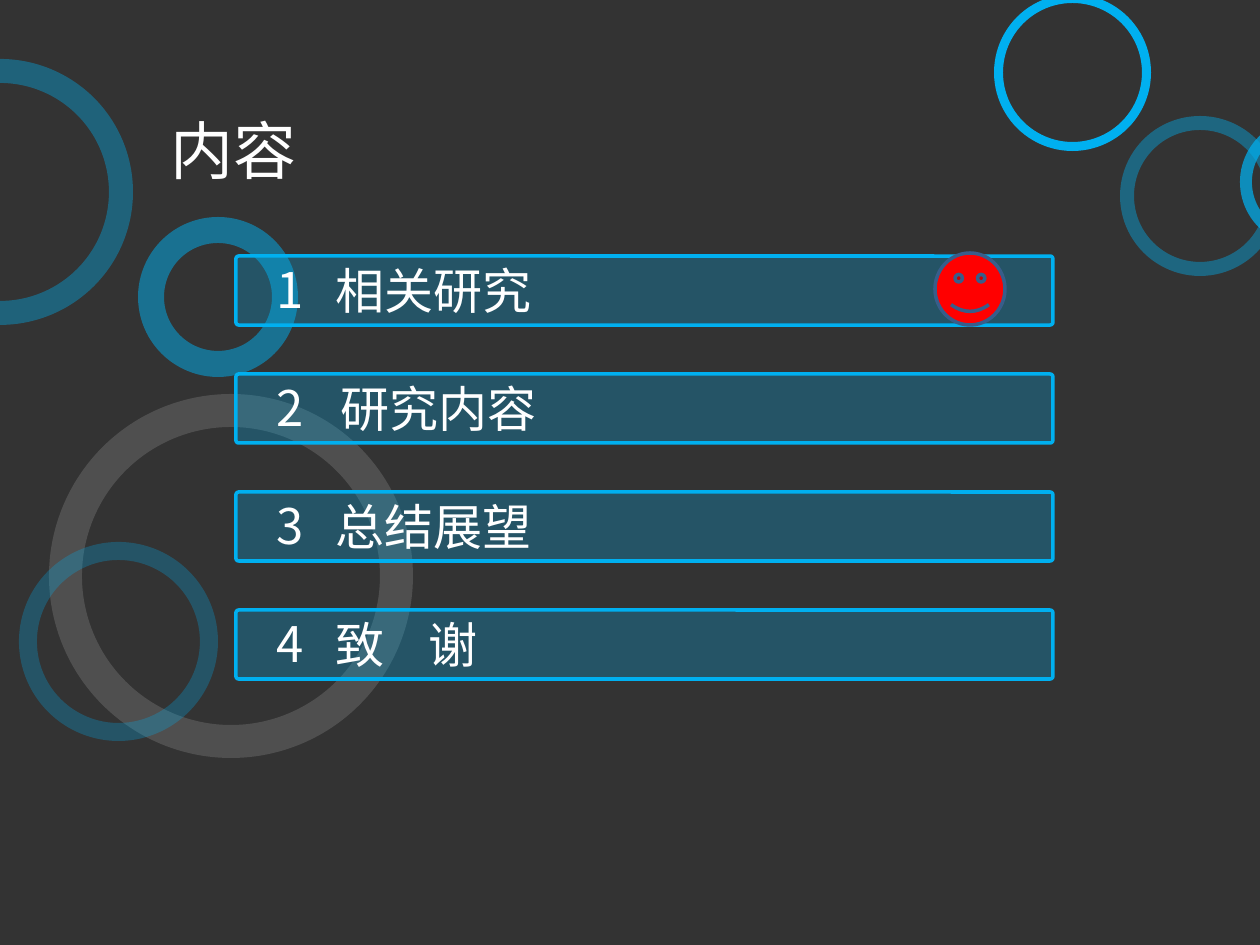
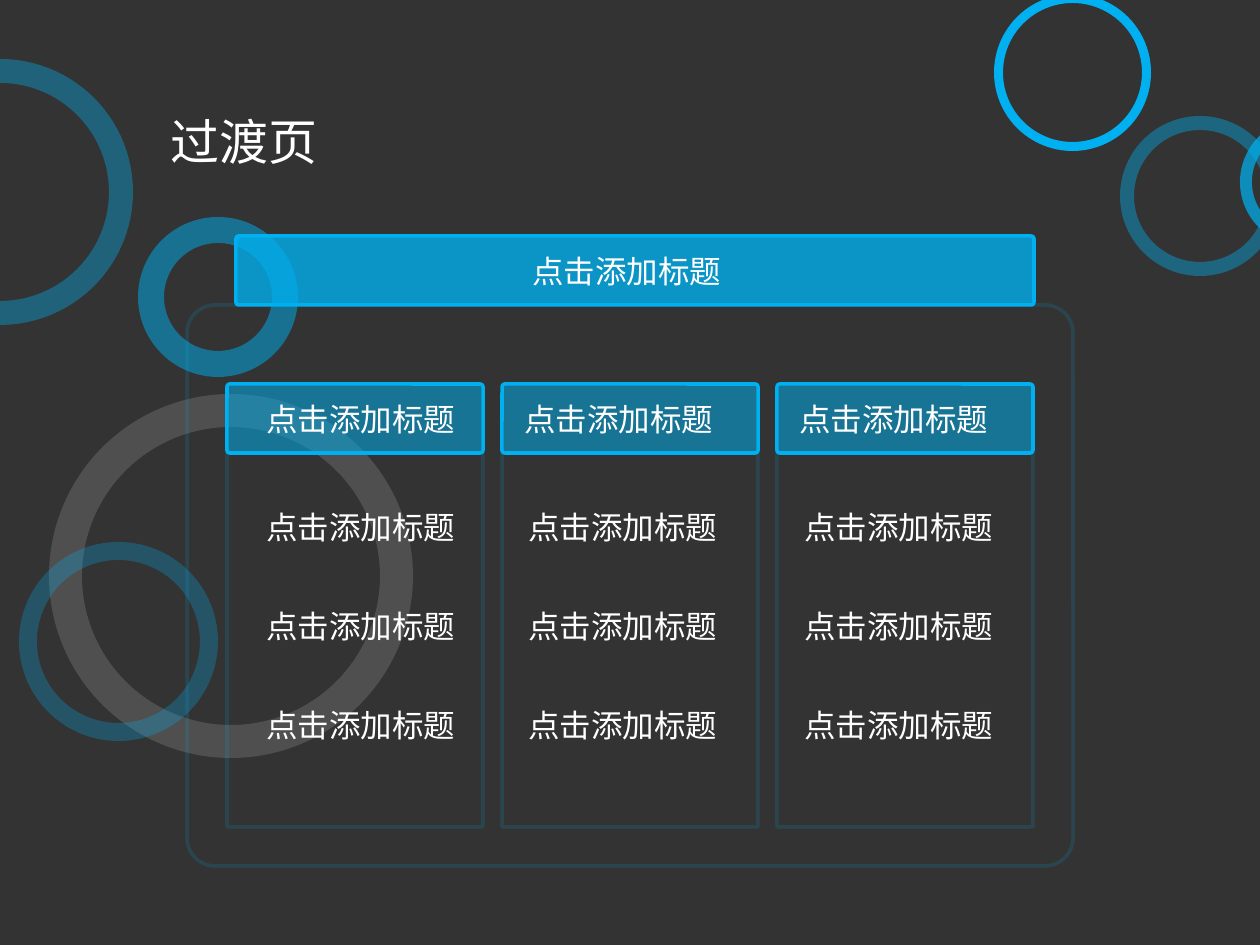
from lxml import etree
from pptx import Presentation
from pptx.dml.color import RGBColor
from pptx.enum.shapes import MSO_SHAPE
from pptx.enum.text import MSO_ANCHOR, MSO_AUTO_SIZE
from pptx.oxml.ns import qn
from pptx.util import Emu, Pt

EMU_PER_PX = 914400 / 126
ROUNDED = MSO_SHAPE.ROUNDED_RECTANGLE
RECTANGLE = MSO_SHAPE.RECTANGLE
DONUT = MSO_SHAPE.DONUT
SMILEY = MSO_SHAPE.SMILEY_FACE
MIDDLE = MSO_ANCHOR.MIDDLE
FIT_SHAPE = MSO_AUTO_SIZE.SHAPE_TO_FIT_TEXT

DARK = RGBColor(0x33, 0x33, 0x33)
WHITE = RGBColor(0xFF, 0xFF, 0xFF)
CYAN = RGBColor(0x00, 0xB0, 0xF0)
RED = RGBColor(0xFF, 0x00, 0x00)
NAVY = RGBColor(0x38, 0x5D, 0x8A)

CHINESE_FONT = "Noto Sans CJK SC"
NUMBER_FONT = "Noto Sans CJK JP"
BODY_FONT = "Calibri"

# left, top, diameter, ring thickness, colour, opacity in percent
RINGS = [
    (49, 394, 364, 33, WHITE, 14),
    (-133, 59, 266, 24, CYAN, 38),
    (19, 542, 199, 18, CYAN, 27),
    (138, 217, 160, 26, CYAN, 50),
    (1120, 116, 160, 14, CYAN, 41),
    (994, -6, 157, 9, CYAN, 100),
    (1240, 118, 128, 12, CYAN, 72),
]
BAR_LEFT = 236
BAR_HEIGHT = 69
ITEM_TOP = 256
ITEM_PITCH = 118
ITEMS = [(323, "相关研究"), (328, "研究内容"), (323, "总结展望"), (323, "致\t谢")]

PROMPT = "点击添加标题"
COLUMN_LEFT = 227
COLUMN_PITCH = 275
COLUMN_WIDTH = 256
HEADER_TOP = 384
# text indents inside each column: header, body
COLUMN_INDENTS = [(27, 27), (10, 14), (10, 15)]
BODY_TOP = 501
BODY_PITCH = 99
BODY_ROWS = 3


def px(length):
    return Emu(round(length * EMU_PER_PX))


def set_opacity(fill, percent):
    if percent < 100:
        colour = fill._xPr.find(qn("a:solidFill"))[0]
        etree.SubElement(colour, qn("a:alpha")).set("val", str(percent * 1000))


def paint(fill, colour, opacity):
    """Fill with a colour, or leave empty when colour is None."""
    if colour is None:
        fill.background()
    else:
        fill.solid()
        fill.fore_color.rgb = colour
        set_opacity(fill, opacity)


def add_figure(slide, kind, place, fill=None, opacity=100, line=None, line_opacity=100):
    shape = slide.shapes.add_shape(kind, *map(px, place))
    shape.shadow.inherit = False
    paint(shape.fill, fill, opacity)
    paint(shape.line.fill, line, line_opacity)
    if line is not None:
        shape.line.width = Pt(2)
    return shape


def add_bar(slide, left, top, width, opacity):
    bar = add_figure(slide, ROUNDED, (left, top, width, BAR_HEIGHT), CYAN, opacity, CYAN)
    bar.adjustments[0] = 0.04


def add_text(slide, place, text, size, font, wrap=False, tab=None):
    box = slide.shapes.add_textbox(*map(px, place))
    frame = box.text_frame
    frame.word_wrap = wrap
    frame.auto_size = FIT_SHAPE
    frame.vertical_anchor = MIDDLE
    frame.text = text
    para = frame.paragraphs[0]
    if tab is not None:
        tabs = etree.SubElement(para._p.get_or_add_pPr(), qn("a:tabLst"))
        etree.SubElement(tabs, qn("a:tab"), pos=str(px(tab)), algn="l")
    for span in para.runs:
        span.font.size = Pt(size)
        span.font.color.rgb = WHITE
        span.font.name = font
        east_asian = etree.SubElement(span.font._element, qn("a:ea"))
        east_asian.set("typeface", CHINESE_FONT if font == BODY_FONT else font)


def add_prompt(slide, left, top, width=228):
    add_text(slide, (left, top, width, 51), PROMPT, 18, BODY_FONT, wrap=True)


def add_base_slide(deck):
    """Add a dark slide decorated with the shared rings."""
    slide = deck.slides.add_slide(deck.slide_layouts[6])
    slide.background.fill.solid()
    slide.background.fill.fore_color.rgb = DARK
    for left, top, diameter, thickness, colour, opacity in RINGS:
        ring = add_figure(slide, DONUT, (left, top, diameter, diameter), colour, opacity)
        ring.adjustments[0] = thickness / diameter
    return slide


def add_title(slide, text, size, width, height):
    add_text(slide, (158, 105, width, height), text, size, CHINESE_FONT)


def build_contents(deck):
    slide = add_base_slide(deck)
    for index, (name_left, name) in enumerate(ITEMS):
        top = ITEM_TOP + index * ITEM_PITCH
        add_bar(slide, BAR_LEFT, top, 817, 27)
        add_text(slide, (name_left, top - 2, 224, 72), name, 28, CHINESE_FONT,
                 tab=93 if "\t" in name else None)
        add_text(slide, (264, top - 3, 53, 72), str(index + 1), 28, NUMBER_FONT)
    add_title(slide, "内容", 36, 153, 88)
    add_figure(slide, SMILEY, (935, 253, 70, 72), RED, line=NAVY)


def build_transition(deck):
    slide = add_base_slide(deck)
    add_title(slide, "过渡页", 28, 175, 72)
    add_bar(slide, BAR_LEFT, 236, 798, 78)
    add_prompt(slide, 520, 245, 247)
    frame = add_figure(slide, ROUNDED, (187, 305, 886, 561), line=CYAN, line_opacity=15)
    frame.adjustments[0] = 0.05
    for index, (header_indent, body_indent) in enumerate(COLUMN_INDENTS):
        left = COLUMN_LEFT + index * COLUMN_PITCH
        add_figure(slide, RECTANGLE, (left, 453, COLUMN_WIDTH, 374),
                   line=CYAN, line_opacity=15)
        add_bar(slide, left, HEADER_TOP, COLUMN_WIDTH, 52)
        add_prompt(slide, left + header_indent, HEADER_TOP + 9)
        for row in range(BODY_ROWS):
            add_prompt(slide, left + body_indent, BODY_TOP + row * BODY_PITCH)


def main():
    deck = Presentation()
    deck.slide_width = px(1260)
    deck.slide_height = px(945)
    build_contents(deck)
    build_transition(deck)
    deck.save("out.pptx")


if __name__ == "__main__":
    main()
